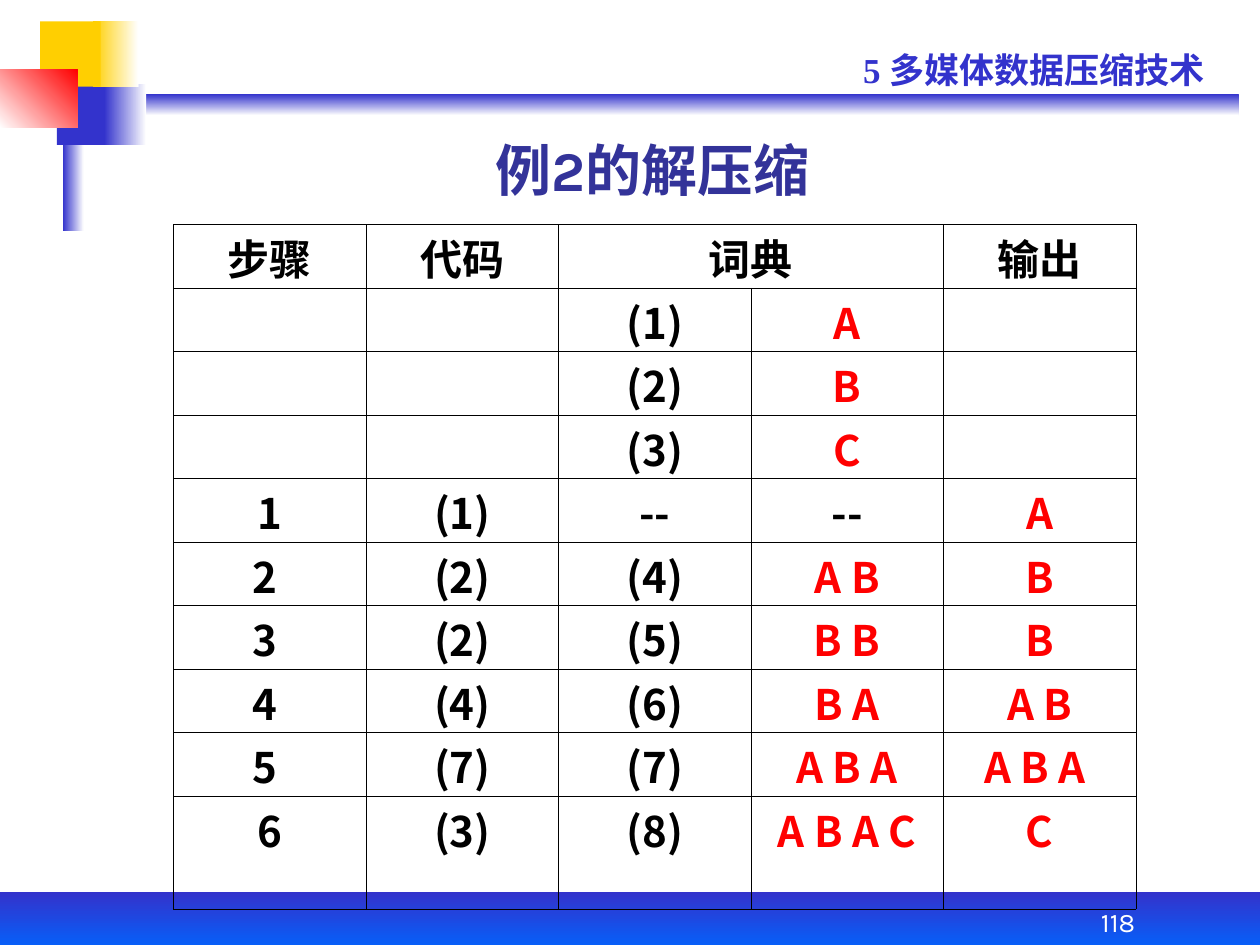
from lxml import etree
from pptx import Presentation
from pptx import util as u
from pptx.dml.color import RGBColor
from pptx.enum import shapes, text
from pptx.oxml import ns

BLUE = RGBColor(0x33, 0x33, 0xCC)
BRIGHT_BLUE = RGBColor(0x00, 0x66, 0xFF)
TITLE_BLUE = RGBColor(0x33, 0x33, 0x99)
YELLOW = RGBColor(0xFF, 0xCF, 0x01)
RED = RGBColor(0xFF, 0x00, 0x00)
WHITE = RGBColor(0xFF, 0xFF, 0xFF)
BLACK = RGBColor(0x00, 0x00, 0x00)

CJK = "Noto Sans CJK SC"
LATIN = "Karla"
SERIF = "Times New Roman"

ROWS = [
    ["步骤", "代码", "词典", "", "输出"],
    ["", "", "(1)", "A", ""],
    ["", "", "(2)", "B", ""],
    ["", "", "(3)", "C", ""],
    ["1", "(1)", "--", "--", "A"],
    ["2 ", "(2)", "(4)", "A B", "B"],
    ["3 ", "(2)", "(5)", "B B", "B"],
    ["4 ", "(4)", "(6)", "B A", "A B"],
    ["5 ", "(7)", "(7)", "A B A", "A B A "],
    ["6", "(3)", "(8)", "A B A C", "C"],
]
INITIAL_ROWS = range(1, 4)


class SlideBuilder:
    def __init__(self, page):
        self.page = page

    def block(self, place, color, end_color=None, angle=0):
        """Rectangle with a plain fill, or a gradient turning clockwise."""
        box = self.page.shapes.add_shape(
            shapes.MSO_SHAPE.RECTANGLE, *map(u.Cm, place))
        box.shadow.inherit = False
        box.line.fill.background()
        if end_color is None:
            box.fill.solid()
            box.fill.fore_color.rgb = color
            return
        box.fill.gradient()
        box.fill.gradient_angle = (360 - angle) % 360
        for stop, stop_color in zip(box.fill.gradient_stops, (color, end_color)):
            stop.color.rgb = stop_color

    def style(self, frame, size, font, color, bold=True, align=text.PP_ALIGN.CENTER):
        for para in frame.paragraphs:
            para.alignment = align
            for span in para.runs:
                span.font.size = u.Pt(size)
                span.font.bold = bold
                span.font.color.rgb = color
                span.font.name = font
                east_asian = etree.SubElement(span.font._element, ns.qn("a:ea"))
                east_asian.set("typeface", CJK)

    def label(self, place, words, anchor=text.MSO_ANCHOR.TOP, **look):
        box = self.page.shapes.add_textbox(*map(u.Cm, place))
        frame = box.text_frame
        frame.word_wrap = True
        frame.vertical_anchor = anchor
        frame.margin_right = 0 if look.get("align") else u.Cm(0.25)
        frame.text = words
        self.style(frame, **look)
        return frame

    def title(self, place, words, **look):
        box = self.page.shapes.title
        box.left, box.top, box.width, box.height = map(u.Cm, place)
        frame = box.text_frame
        frame.word_wrap = True
        frame.auto_size = text.MSO_AUTO_SIZE.NONE
        frame.vertical_anchor = text.MSO_ANCHOR.BOTTOM
        frame.text = words
        self.style(frame, **look)

    def borders(self, cell):
        properties = cell._tc.get_or_add_tcPr()
        for side in ("lnL", "lnR", "lnT", "lnB"):
            line = etree.SubElement(properties, ns.qn(f"a:{side}"), w=str(u.Pt(0.34)))
            fill = etree.SubElement(line, ns.qn("a:solidFill"))
            etree.SubElement(fill, ns.qn("a:srgbClr"), val=str(BLACK))

    def table(self, place, rows, row_height, last_height):
        grid = self.page.shapes.add_table(
            len(rows), len(rows[0]), *map(u.Cm, place)).table
        grid.first_row = False
        grid.horz_banding = False
        for row in grid.rows:
            row.height = u.Cm(row_height)
        grid.rows[len(rows) - 1].height = u.Cm(last_height)
        grid.cell(0, 2).merge(grid.cell(0, 3))
        for i, words_in_row in enumerate(rows):
            for j, words in enumerate(words_in_row):
                cell = grid.cell(i, j)
                self.borders(cell)
                if i in INITIAL_ROWS:
                    cell.fill.solid()
                    cell.fill.fore_color.rgb = WHITE
                else:
                    cell.fill.background()
                # Tight margins keep the tall font inside the row
                cell.margin_top = u.Cm(0.05)
                cell.margin_bottom = 0
                if words:
                    cell.text_frame.text = words
                    letters = words[0] in "ABC"
                    self.style(cell.text_frame, 24, CJK, RED if letters else BLACK)


def main():
    deck = Presentation()
    deck.slide_width, deck.slide_height = u.Cm(25.4), u.Cm(19.05)
    page = deck.slides.add_slide(deck.slide_layouts[5])
    builder = SlideBuilder(page)

    # Header rule, footer band and corner blocks
    builder.block((1.47, 1.9, 23.5, 0.43), BLUE, WHITE, 90)
    builder.block((2.1, 1.7, 0.85, 1.22), BLUE, WHITE)
    builder.block((0, 17.98, 25.4, 1.27), BLUE, BRIGHT_BLUE, 90)
    builder.block((1.27, 1.48, 0.42, 3.18), BLUE, WHITE)
    builder.block((1.15, 1.7, 0.97, 1.22), BLUE)
    builder.block((1.88, 0.43, 0.91, 1.32), YELLOW, WHITE)
    builder.block((0.81, 0.43, 1.22, 1.32), YELLOW)
    builder.block((0, 1.4, 1.56, 1.18), WHITE, RED, 315)

    # Chapter name and page number
    builder.label((17.15, 0.85, 7.62, 1.12), "5 多媒体数据压缩技术",
                  size=20, font=SERIF, color=BLUE, align=text.PP_ALIGN.LEFT)
    number = builder.label((20.53, 17.98, 4.02, 1.06), "118", text.MSO_ANCHOR.BOTTOM,
                           size=15.3, font=LATIN, color=WHITE, bold=False)
    number.paragraphs[0].line_spacing = 0.9

    # Decompression steps
    builder.table((3.5, 4.53, 19.4, 13.77), ROWS, 1.28, 2.28)

    # Title
    builder.title((3.1, 2.52, 20.12, 1.7), "例2的解压缩",
                  size=32, font=LATIN, color=TITLE_BLUE)

    deck.save("out.pptx")


if __name__ == "__main__":
    main()
